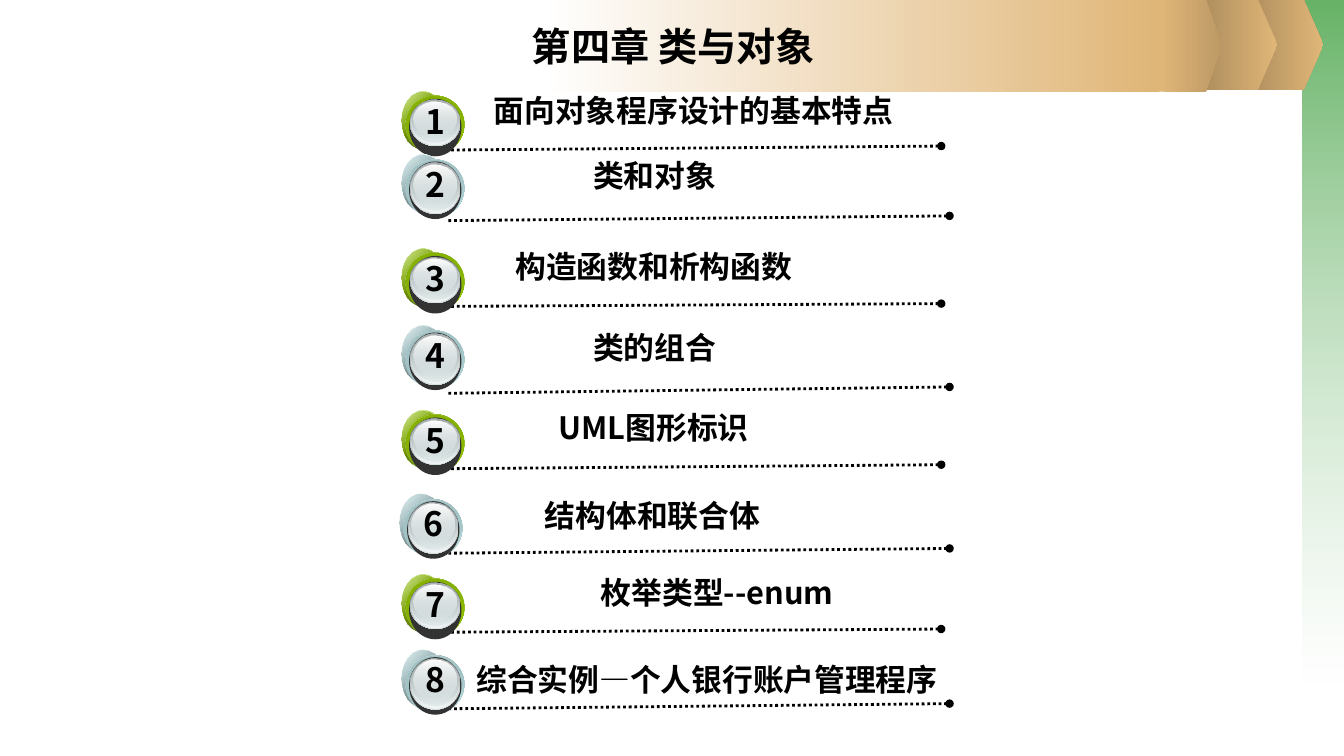
from dataclasses import dataclass

from lxml.etree import SubElement
from pptx import Presentation
from pptx.dml.color import RGBColor
from pptx.enum.dml import MSO_LINE
from pptx.enum.shapes import MSO_CONNECTOR, MSO_SHAPE as Preset
from pptx.enum.text import MSO_ANCHOR, PP_ALIGN
from pptx.oxml.ns import qn
from pptx.util import Cm, Pt

FONT = "Noto Sans CJK SC"


@dataclass
class Chapter:
    """One row of the contents, with lengths in centimetres."""
    label: str
    label_left: float
    label_top: float
    badge_top: float
    rule_start: float
    rule_end: float
    label_width: float = 12.27
    badge_left: float = 10.13


@dataclass
class BadgeStyle:
    """Colours and proportions of a numbered badge."""
    glow: str
    rim: str
    sheen: str
    rim_top: float
    face_extra: float
    rule_left: float
    rule_right: float


CHAPTERS = [
    Chapter("面向对象程序设计的基本特点", 10.92, 2.31, 2.31, 3.78, 3.68, label_width=13.11),
    Chapter("类和对象", 10.36, 3.96, 3.89, 5.56, 5.44),
    Chapter("构造函数和析构函数", 10.34, 6.25, 6.27, 7.72, 7.65),
    Chapter("类的组合", 10.36, 8.28, 8.2, 9.91, 9.75),
    Chapter("UML图形标识", 10.34, 10.31, 10.34, 11.81, 11.71),
    Chapter("结构体和联合体", 10.31, 12.52, 12.45, 13.94, 13.82, badge_left=10.08),
    Chapter("枚举类型--enum", 11.94, 14.45, 14.48, 15.93, 15.85),
    Chapter("综合实例—个人银行账户管理程序", 11.68, 16.64, 16.38, 17.86, 17.73),
]
GREEN = BadgeStyle("99CC00", "759C00", "7EA700", 0.1, 0, 11.37, 23.72)
TEAL = BadgeStyle("BBE0E3", "8FACAE", "9AB8BA", 0.13, 0.13, 11.3, 23.93)


def rgb(code):
    """Turn a hex string into a colour."""
    return RGBColor.from_string(code)


def fill_gradient(shape, angle, stops):
    """Fill with (position, colour, opacity) stops, turning clockwise by angle."""
    shape.fill.gradient()
    shape.fill.gradient_angle = (360 - angle) % 360
    stop_list = shape._element.spPr.find(qn("a:gradFill")).find(qn("a:gsLst"))
    for preset_stop in list(stop_list):
        stop_list.remove(preset_stop)
    for position, code, opacity in stops:
        stop = SubElement(stop_list, qn("a:gs"), pos=str(position * 1000))
        colour = SubElement(stop, qn("a:srgbClr"), val=str(rgb(code)))
        if opacity < 100:
            SubElement(colour, qn("a:alpha"), val=str(opacity * 1000))


def add_plain(shapes, preset, left, top, width, height):
    """Add a preset shape without line or shadow."""
    shape = shapes.add_shape(preset, Cm(left), Cm(top), Cm(width), Cm(height))
    shape.shadow.inherit = False
    shape.line.fill.background()
    return shape


def write(frame, text, size):
    """Write one centred bold black paragraph."""
    paragraph = frame.paragraphs[0]
    paragraph.text = text
    paragraph.alignment = PP_ALIGN.CENTER
    font = paragraph.font
    font.size, font.bold, font.name = Pt(size), True, FONT
    font.color.rgb = rgb("000000")
    SubElement(paragraph._p.pPr.find(qn("a:defRPr")), qn("a:ea"), typeface=FONT)


def add_text(shapes, text, size, left, top, width, height):
    """Add a text box without margins."""
    frame = shapes.add_textbox(Cm(left), Cm(top), Cm(width), Cm(height)).text_frame
    frame.word_wrap = True
    frame.margin_left = frame.margin_right = frame.margin_top = frame.margin_bottom = 0
    write(frame, text, size)


def add_banner(shapes):
    """Draw the green side strip and the golden header arrows."""
    rect, arrow = Preset.RECTANGLE, Preset.PENTAGON
    parts = [
        (rect, 32.82, 0, 1.04, 17.2, 90, ("339933", 75), ("FFFFFF", 37)),
        (arrow, 31.34, -0.03, 2.01, 2.31, 0, ("AB8B5C", 100), ("E0B678", 100)),
        (arrow, 30.18, -0.03, 2.01, 2.31, 0, ("AB8B5C", 100), ("E0B678", 100)),
        (rect, 13.61, 0, 15.6, 2.31, 0, ("FFFFFF", 100), ("E0B678", 100)),
        (arrow, 29.21, 0, 1.57, 2.31, 0, ("E0B678", 100), ("BD9965", 100)),
    ]
    for preset, left, top, width, height, angle, start, end in parts:
        part = add_plain(shapes, preset, left, top, width, height)
        if preset == arrow:
            part.adjustments[0] = 0.25
        fill_gradient(part, angle, [(0, *start), (100, *end)])


def add_title(slide, text):
    """Place and format the title above the banner."""
    title = slide.shapes.title
    title.left, title.top, title.width, title.height = Cm(4.32), Cm(0.36), Cm(25.3), Cm(1.57)
    title.text_frame.vertical_anchor = MSO_ANCHOR.MIDDLE
    write(title.text_frame, text, 28)
    slide.shapes._spTree.append(title._element)


def add_rule(shapes, chapter, style):
    """Draw the dotted rule that ends in a dot."""
    rule = shapes.add_connector(
        MSO_CONNECTOR.STRAIGHT, Cm(style.rule_left), Cm(chapter.rule_start),
        Cm(style.rule_right), Cm(chapter.rule_end))
    rule.line.color.rgb = rgb("000000")
    rule.line.width = Pt(2)
    rule.line.dash_style = MSO_LINE.ROUND_DOT
    SubElement(rule.line._get_or_add_ln(), qn("a:tailEnd"), type="oval")
    SubElement(rule._element.spPr, qn("a:effectLst"))


def add_badge(shapes, number, left, top, style):
    """Stack the glossy discs of a badge and put its number on top."""
    badge = shapes.add_group_shape().shapes
    glow, rim, extra = style.glow, style.rim, style.face_extra
    rim_box = (0.1, style.rim_top, 1.47, 1.46)
    discs = [
        ((0, 0, 1.07, 1.45), 45, [(0, "FFFFFF", 100), (50, glow, 100), (100, "FFFFFF", 100)]),
        ((0, 0, 1.07, 1.45), 45, [(0, glow, 32), (100, "000000", 90)]),
        (rim_box, 315, [(0, rim, 100), (50, glow, 100), (100, rim, 100)]),
        (rim_box, 45, [(0, style.sheen, 100), (100, glow, 0)]),
        ((0.18, 0.18, 1.32, 1.45), 0, None),
        ((0.2, 0.2, 1.28, 1.17 + extra), 90, [(0, "636869", 100), (100, "D6E1E2", 100)]),
        ((0.21, 0.2, 1.24, 1.14 + extra), 90, [(0, "D6E1E2", 0), (100, "F1F5F5", 100)]),
        ((0.23, 0.21, 1.19, 1.07 + extra), 90, [(0, "AAB2B3", 100), (100, "D6E1E2", 48)]),
        ((0.3, 0.25, 1.07, 0.86 + extra), 90, [(0, "FFFFFF", 100), (100, "D6E1E2", 38)]),
    ]
    for (dx, dy, width, height), angle, stops in discs:
        disc = add_plain(badge, Preset.OVAL, left + dx, top + dy, width, height)
        if stops:
            fill_gradient(disc, angle, stops)
        else:
            disc.fill.solid()
            disc.fill.fore_color.rgb = rgb("333333")
    add_text(badge, str(number), 24, left + 0.38, top + 0.23, 0.94, 1.27)


def main():
    """Build the chapter contents slide."""
    deck = Presentation()
    deck.slide_width, deck.slide_height = Cm(33.87), Cm(19.05)
    slide = deck.slides.add_slide(deck.slide_layouts[5])
    shapes = slide.shapes
    add_banner(shapes)
    add_title(slide, "第四章 类与对象")
    for number, chapter in enumerate(CHAPTERS, 1):
        style = GREEN if number % 2 else TEAL
        add_rule(shapes, chapter, style)
        add_badge(shapes, number, chapter.badge_left, chapter.badge_top, style)
        add_text(shapes, chapter.label, 22, chapter.label_left, chapter.label_top,
                 chapter.label_width, 1.19)
    deck.save("out.pptx")


if __name__ == "__main__":
    main()
